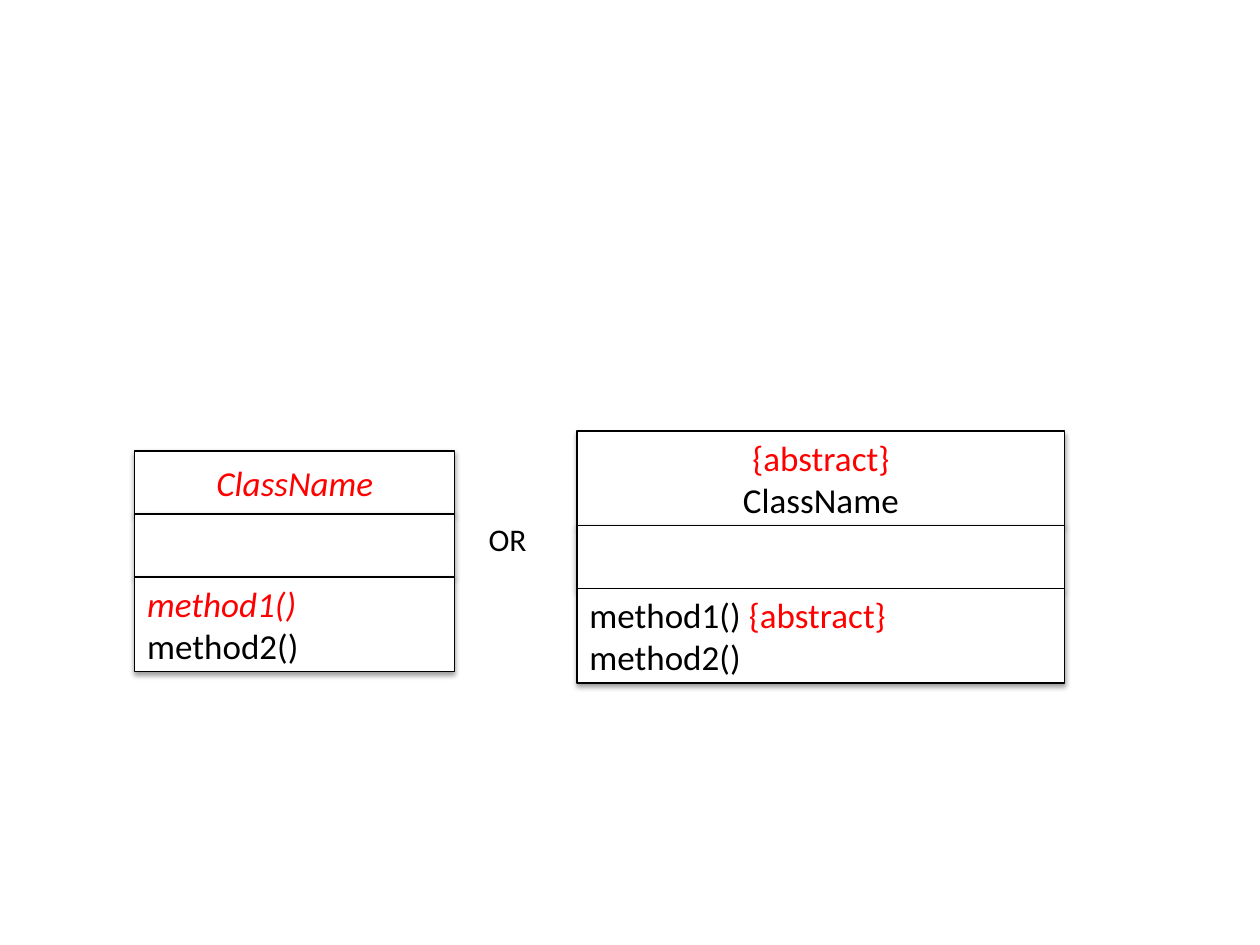
from lxml.etree import SubElement
from pptx import Presentation
from pptx.dml.color import RGBColor as RGB
from pptx.enum.shapes import MSO_SHAPE as Shape
from pptx.enum.text import MSO_ANCHOR as Anchor, MSO_AUTO_SIZE as Fit, PP_ALIGN as Align
from pptx.oxml.ns import qn
from pptx.util import Inches, Pt

THEME = {
    "font": "Calibri", "size": 20, "label": 18, "line": 0.75,
    "ink": RGB(0, 0, 0), "mark": RGB(255, 0, 0), "paper": RGB(255, 255, 255),
}

# Each line is a list of runs: (text, colour, italic)
CLASSES = [
    {"left": 1.07, "top": 3.58, "width": 2.54, "parts": [
        (0.5, Align.CENTER, [[("ClassName", "mark", True)]]),
        (0.5, Align.LEFT, []),
        (0.75, Align.LEFT, [[("method1()", "mark", True)],
                            [("method2()", "ink", False)]]),
    ]},
    {"left": 4.58, "top": 3.42, "width": 3.87, "parts": [
        (0.75, Align.CENTER, [[("{abstract}", "mark", False)],
                              [("ClassName", "ink", False)]]),
        (0.5, Align.LEFT, []),
        (0.75, Align.LEFT, [[("method1() ", "ink", False), ("{abstract}", "mark", False)],
                            [("method2()", "ink", False)]]),
    ]},
]
LABEL = ("OR", 3.78, 4.08, 0.58, 0.39)


def add_shadow(box):
    box.shadow.inherit = False
    effects = box._element.spPr.find(qn("a:effectLst"))
    outer = SubElement(effects, qn("a:outerShdw"), blurRad=str(Pt(3.1)),
                       dist=str(Pt(1.6)), dir="5400000", rotWithShape="0")
    black = SubElement(outer, qn("a:srgbClr"), val="000000")
    SubElement(black, qn("a:alpha"), val="38000")


def write(frame, lines, size, align=Align.LEFT):
    for i, runs in enumerate(lines):
        para = frame.add_paragraph() if i else frame.paragraphs[0]
        para.alignment = align
        para.font.name, para.font.size = THEME["font"], Pt(size)
        for text, color, italic in runs:
            run = para.add_run()
            run.text = text
            run.font.color.rgb = THEME[color]
            run.font.italic = italic


def add_part(slide, left, top, width, height, align, lines):
    box = slide.shapes.add_shape(
        Shape.RECTANGLE, Inches(left), Inches(top), Inches(width), Inches(height))
    box.fill.solid()
    box.fill.fore_color.rgb = THEME["paper"]
    box.line.color.rgb = THEME["ink"]
    box.line.width = Pt(THEME["line"])
    add_shadow(box)
    box.text_frame.vertical_anchor = Anchor.MIDDLE
    write(box.text_frame, lines, THEME["size"], align)


def add_class(slide, left, top, width, parts):
    for height, align, lines in parts:
        add_part(slide, left, top, width, height, align, lines)
        top += height


def add_label(slide, text, *place):
    frame = slide.shapes.add_textbox(*map(Inches, place)).text_frame
    frame.word_wrap = True
    frame.auto_size = Fit.SHAPE_TO_FIT_TEXT
    write(frame, [[(text, "ink", False)]], THEME["label"])


def main():
    deck = Presentation()
    deck.slide_width, deck.slide_height = Inches(10), Inches(7.5)
    slide = deck.slides.add_slide(deck.slide_layouts[6])
    for item in CLASSES:
        add_class(slide, **item)
    add_label(slide, *LABEL)
    deck.save("out.pptx")


if __name__ == "__main__":
    main()
